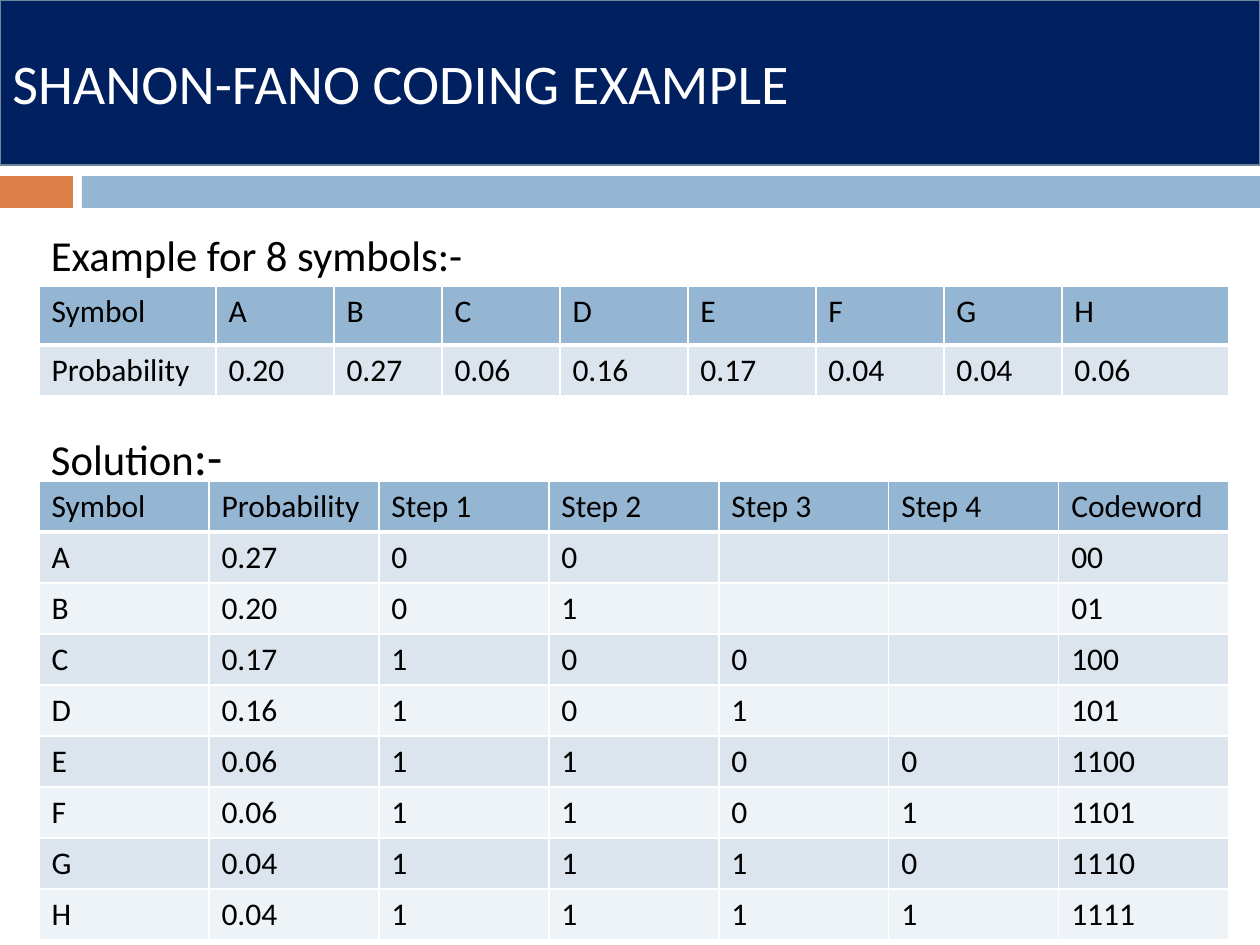
from lxml.etree import SubElement
from pptx import Presentation
from pptx.dml.color import RGBColor
from pptx.enum.shapes import MSO_SHAPE
from pptx.enum.text import MSO_ANCHOR, PP_ALIGN
from pptx.oxml.ns import qn
from pptx.util import Emu, Pt

COLORS = {
    "navy": "002060", "outline": "6D879B", "orange": "DD8047", "blue": "94B6D2",
    "band_dark": "DCE5EE", "band_light": "EEF3F7", "white": "FFFFFF", "black": "000000",
}
SYMBOLS = [
    ["Symbol", *"ABCDEFGH"],
    ["Probability", "0.20", "0.27", "0.06", "0.16", "0.17", "0.04", "0.04", "0.06"],
]
PROBABILITIES = ["0.27", "0.20", "0.17", "0.16", "0.06", "0.06", "0.04", "0.04"]
CODEWORDS = ["00", "01", "100", "101", "1100", "1101", "1110", "1111"]


def px(n):
    """Turn pixels at 126 to the inch into EMU."""
    return Emu(round(n * 914400 / 126))


def rgb(name):
    """Look up a named colour."""
    return RGBColor.from_string(COLORS[name])


def add_run(p, text, size=18, color="black"):
    """Append a formatted run to a paragraph."""
    r = p.add_run()
    r.text = text
    r.font.name = "Calibri"
    r.font.size = Pt(size)
    r.font.color.rgb = rgb(color)


def add_bar(slide, x, y, w, h, fill, line=None):
    """Add a filled rectangle, outlined if a line colour is given."""
    sp = slide.shapes.add_shape(MSO_SHAPE.RECTANGLE, px(x), px(y), px(w), px(h))
    sp.shadow.inherit = False
    sp.fill.solid()
    sp.fill.fore_color.rgb = rgb(fill)
    if line:
        sp.line.color.rgb = rgb(line)
        sp.line.width = Pt(1.5)
    else:
        sp.line.fill.background()
    return sp


def add_title(slide, text):
    """Add the title banner."""
    tf = add_bar(slide, 0, 0, 1260, 165, "navy", line="outline").text_frame
    tf.word_wrap = True
    tf.vertical_anchor = MSO_ANCHOR.MIDDLE
    p = tf.paragraphs[0]
    p.alignment = PP_ALIGN.LEFT
    add_run(p, text, size=32, color="white")


def add_headings(slide):
    """Add the headings that stand above the two tables."""
    tf = slide.shapes.add_textbox(px(20), px(220), px(1221), px(696)).text_frame
    tf.word_wrap = True
    tf.margin_left, tf.margin_top = px(31), px(9)
    add_run(tf.paragraphs[0], "Example for 8 symbols:-", size=24.4)
    p = tf.add_paragraph()
    p.space_before = Pt(83.5)
    add_run(p, "Solution", size=24.4)
    add_run(p, ":-", size=28.3)


def set_borders(cell, top, bottom):
    """Draw white cell borders, with top and bottom widths in points."""
    tc_pr = cell._tc.get_or_add_tcPr()
    for side, width in (("L", 1), ("R", 1), ("T", top), ("B", bottom)):
        ln = SubElement(tc_pr, qn(f"a:ln{side}"), w=str(Pt(width)))
        fill = SubElement(ln, qn("a:solidFill"))
        SubElement(fill, qn("a:srgbClr"), val=COLORS["white"])


def add_table(slide, y, rows, widths, heights):
    """Add a table with a header row and banded body rows."""
    frame = slide.shapes.add_table(len(rows), len(widths), px(39), px(y),
                                   px(sum(widths)), px(sum(heights)))
    table = frame.table
    for column, width in zip(table.columns, widths):
        column.width = px(width)
    for i, (values, height) in enumerate(zip(rows, heights)):
        table.rows[i].height = px(height)
        band = "band_dark" if i % 2 else "band_light"
        for j, value in enumerate(values):
            cell = table.cell(i, j)
            set_borders(cell, top=3 if i == 1 else 1, bottom=3 if i == 0 else 1)
            cell.fill.solid()
            cell.fill.fore_color.rgb = rgb(band if i else "blue")
            if value:
                add_run(cell.text_frame.paragraphs[0], value)


def solution_rows():
    """List each symbol with its code bits by step and its codeword."""
    rows = [["Symbol", "Probability", "Step 1", "Step 2", "Step 3", "Step 4", "Codeword"]]
    for symbol, probability, code in zip("ABCDEFGH", PROBABILITIES, CODEWORDS):
        rows.append([symbol, probability, *code.ljust(4).replace(" ", "-"), code])
    return [["" if value == "-" else value for value in row] for row in rows]


def main():
    """Build and save the slide."""
    prs = Presentation()
    prs.slide_width, prs.slide_height = px(1260), px(945)
    slide = prs.slides.add_slide(prs.slide_layouts[6])
    add_bar(slide, 0, 176, 73, 32, "orange")
    add_bar(slide, 82, 176, 1178, 32, "blue")
    add_title(slide, "SHANON-FANO CODING EXAMPLE")
    add_headings(slide)
    add_table(slide, 286, SYMBOLS,
              widths=[177, 118, 108, 118, 128, 128, 128, 118, 167], heights=[59, 51])
    add_table(slide, 481, solution_rows(), widths=[170] * 7, heights=[51] * 9)
    prs.save("out.pptx")


if __name__ == "__main__":
    main()
